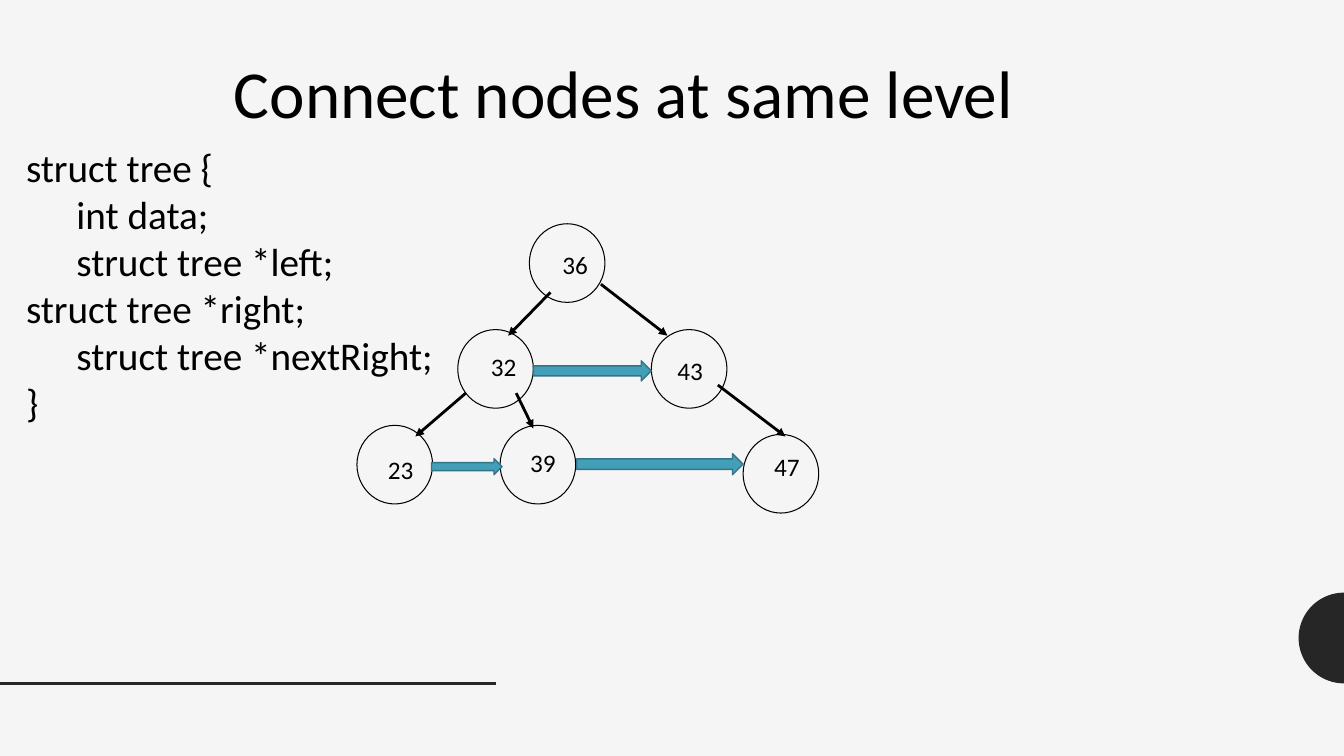
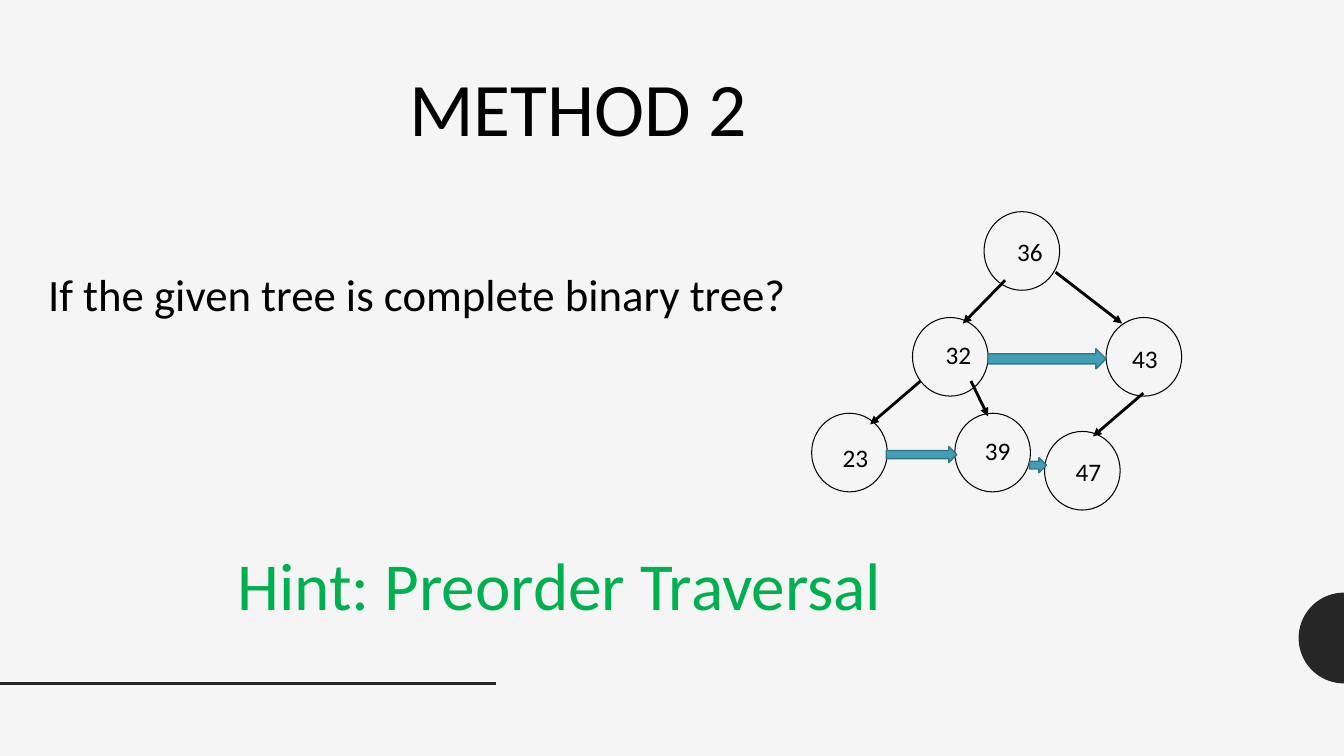
from math import cos, pi, sin

from pptx import Presentation
from pptx.dml.color import RGBColor
from pptx.enum.shapes import MSO_CONNECTOR, MSO_SHAPE
from pptx.enum.text import MSO_AUTO_SIZE, PP_ALIGN
from pptx.oxml.ns import qn
from pptx.util import Inches, Pt

THEME = {
    "back": RGBColor(0xF5, 0xF5, 0xF5),
    "band": RGBColor(0x26, 0x26, 0x26),
    "ink": RGBColor(0, 0, 0),
    "link": RGBColor(0x43, 0x9E, 0xB7),
    "rim": RGBColor(0x32, 0x75, 0x87),
    "hint": RGBColor(0x00, 0xB0, 0x50),
    "font": "Calibri",
    "label": Pt(18), "code": Pt(28), "body": Pt(32),
    "title": Pt(48), "big": Pt(54),
}
WIDE, HIGH = 13.33, 7.5
NODE = (0.75, 0.78)

# Tree parts are measured from the top left corner of the tree.
# Node: value, left, top, then the shift of its label.
NODES = [
    ("36", 1.71, 0, 0.23, 0.2),
    ("32", 1, 1.05, 0.23, 0.17),
    ("43", 2.92, 1.05, 0.16, 0.21),
    ("23", 0, 2, 0.21, 0.24),
    ("39", 1.42, 2, 0.2, 0.17),
]
EDGES = [
    (1.92, 0.68, 1.5, 1.11),
    (2.42, 0.6, 3.08, 1.11),
    (1.08, 1.68, 0.58, 2.11),
    (1.58, 1.68, 1.75, 2.03),
]
LINKS = [(1.75, 1.36, 1.17, 0.2), (0.74, 2.33, 0.7, 0.16)]

# Text: box, size, colour, alignment, lines as (indent, words).
SLIDES = [
    {
        "texts": [
            ((2.22, 0.46, 9.15, 0.91), "title", "ink", PP_ALIGN.LEFT,
             [(0, "Connect nodes at same level")]),
            ((0.16, 1.37, 4.46, 2.93), "code", "ink", PP_ALIGN.LEFT,
             [(0, "struct tree {"),
              (0.5, "int data;"),
              (0.5, "struct tree *left;"),
              (0, "struct tree *right;"),
              (0.5, "struct tree *nextRight;"),
              (0, "}")]),
        ],
        "tree": (3.54, 2.22),
        "node": ("47", 3.83, 2.09, 0.21, 0.12),
        "edge": (3.58, 1.6, 4.25, 2.11),
        "link": (2.18, 2.28, 1.65, 0.21),
    },
    {
        "texts": [
            ((3.96, 0.56, 9.34, 1.01), "big", "ink", PP_ALIGN.LEFT,
             [(0, "METHOD 2")]),
            ((0.38, 2.6, 7.67, 0.64), "body", "ink", PP_ALIGN.LEFT,
             [(0, "If the given tree is complete binary tree?")]),
            ((1.63, 5.34, 7.84, 0.91), "title", "hint", PP_ALIGN.CENTER,
             [(0, "Hint: Preorder Traversal")]),
        ],
        "tree": (8.05, 2.1),
        "node": ("47", 2.31, 2.18, 0.21, 0.2),
        "edge": (3.29, 1.8, 2.79, 2.23),
        "link": (2.16, 2.44, 0.17, 0.15),
    },
]


def write(slide, box, size, tint, align, lines):
    """Add a text box with one paragraph for each (indent, words) line."""
    frame = slide.shapes.add_textbox(*map(Inches, box)).text_frame
    frame.word_wrap = True
    frame.auto_size = MSO_AUTO_SIZE.SHAPE_TO_FIT_TEXT
    style = {"name": THEME["font"], "size": THEME[size]}
    for i, (indent, words) in enumerate(lines):
        para = frame.paragraphs[0] if i == 0 else frame.add_paragraph()
        para.alignment = align
        if indent:
            para._p.get_or_add_pPr().set("marL", str(Inches(indent)))
        run = para.add_run()
        run.text = words
        for key, value in style.items():
            setattr(run.font, key, value)
        run.font.color.rgb = THEME[tint]


def draw(slide, ends, tint, head=False):
    """Add a straight line, with an arrowhead at its end if asked."""
    line = slide.shapes.add_connector(MSO_CONNECTOR.STRAIGHT, *map(Inches, ends))
    line.line.color.rgb = THEME[tint]
    line.line.width = Pt(2)
    if head:
        stroke = line.line._get_or_add_ln()
        tip = stroke.makeelement(qn("a:tailEnd"), {"type": "triangle"})
        stroke.append(tip)
    props = line._element.spPr
    props.append(props.makeelement(qn("a:effectLst"), {}))


prs = Presentation()
prs.slide_width, prs.slide_height = Inches(WIDE), Inches(HIGH)
paper = prs.slide_master.background.fill
paper.solid()
paper.fore_color.rgb = THEME["back"]

mid, radius, steps = 6.33, 0.45, 48
arc = [(Inches(WIDE - radius * sin(pi * i / steps)),
        Inches(mid - radius * cos(pi * i / steps))) for i in range(steps + 1)]

for page in SLIDES:
    slide = prs.slides.add_slide(prs.slide_layouts[6])

    path = slide.shapes.build_freeform(*arc[0])
    path.add_line_segments(arc[1:], close=True)
    disc = path.convert_to_shape()
    disc.shadow.inherit = False
    disc.fill.solid()
    disc.fill.fore_color.rgb = THEME["band"]
    disc.line.fill.background()
    draw(slide, (0, 6.78, 4.92, 6.78), "band")

    for text in page["texts"]:
        write(slide, *text)

    left, top = page["tree"]
    nodes = NODES + [page["node"]]
    for value, x, y, dx, dy in nodes:
        ring = slide.shapes.add_shape(
            MSO_SHAPE.OVAL, Inches(left + x), Inches(top + y), *map(Inches, NODE))
        ring.shadow.inherit = False
        ring.fill.background()
        ring.line.color.rgb = THEME["ink"]
        ring.line.width = Pt(0.75)

    for x1, y1, x2, y2 in EDGES + [page["edge"]]:
        draw(slide, (left + x1, top + y1, left + x2, top + y2), "ink", True)

    for value, x, y, dx, dy in nodes:
        write(slide, (left + x + dx, top + y + dy, 0.5, 0.4), "label", "ink",
              PP_ALIGN.LEFT, [(0, value)])

    for x, y, wide, high in LINKS + [page["link"]]:
        arrow = slide.shapes.add_shape(
            MSO_SHAPE.RIGHT_ARROW, Inches(left + x), Inches(top + y),
            Inches(wide), Inches(high))
        arrow.shadow.inherit = False
        arrow.fill.solid()
        arrow.fill.fore_color.rgb = THEME["link"]
        arrow.line.color.rgb = THEME["rim"]
        arrow.line.width = Pt(1)

prs.save("out.pptx")
